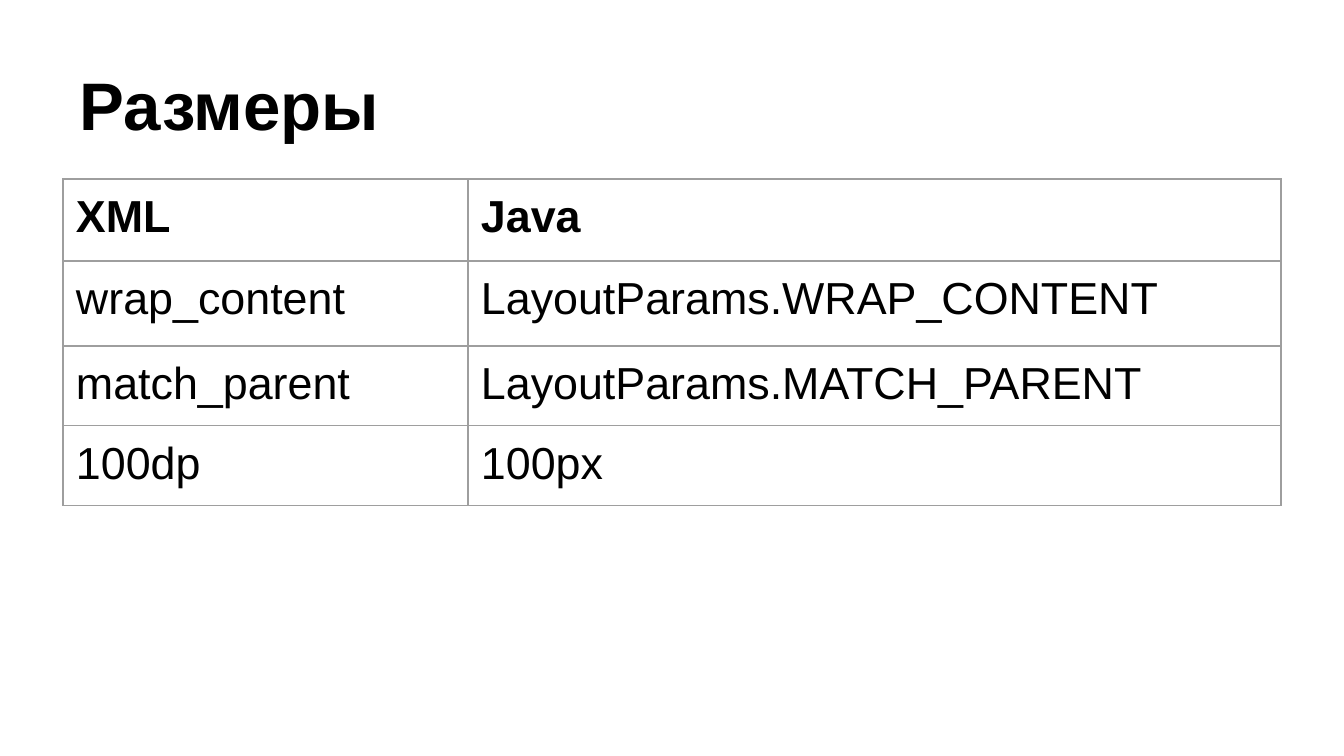
from lxml import etree
from pptx import Presentation
from pptx import util as u
from pptx.dml.color import RGBColor
from pptx.enum import text
from pptx.oxml import ns

SCALE = 914400 / 134.4
COLORS = {"ink": "000000", "rule": "9E9E9E", "page": "FFFFFF"}
ROWS = [
    ("XML", "Java"),
    ("wrap_content", "LayoutParams.WRAP_CONTENT"),
    ("match_parent", "LayoutParams.MATCH_PARENT"),
    ("100dp", "100px"),
]


def px(count):
    return u.Emu(round(count * SCALE))


def color(name):
    return RGBColor.from_string(COLORS[name])


def write(frame, words, size=24, bold=False, ink="ink", font="Arial"):
    run = frame.paragraphs[0].add_run()
    run.text = words
    run.font.name = font
    run.font.size = u.Pt(size)
    run.font.bold = bold
    run.font.color.rgb = color(ink)


class Deck:
    """Holds the style and the current slide, and adds elements to it."""

    def __init__(self, width, height, inset=13):
        self.file = Presentation()
        self.file.slide_width, self.file.slide_height = px(width), px(height)
        self.slide = self.file.slides.add_slide(self.file.slide_layouts[6])
        fill = self.slide.background.fill
        fill.solid()
        fill.fore_color.rgb = color("page")
        self.inset = px(inset)

    def pad(self, item):
        item.margin_left = item.margin_right = self.inset
        item.margin_top = item.margin_bottom = self.inset

    def title(self, words, *box):
        frame = self.slide.shapes.add_textbox(*map(px, box)).text_frame
        frame.word_wrap = True
        frame.vertical_anchor = text.MSO_ANCHOR.BOTTOM
        self.pad(frame)
        write(frame, words, size=36, bold=True)

    def border(self, cell):
        props = cell._tc.get_or_add_tcPr()
        for place, side in enumerate(("lnL", "lnR", "lnT", "lnB")):
            line = etree.Element(ns.qn(f"a:{side}"), w=str(u.Pt(0.75)))
            fill = etree.SubElement(line, ns.qn("a:solidFill"))
            etree.SubElement(fill, ns.qn("a:srgbClr"), val=COLORS["rule"])
            props.insert(place, line)

    def table(self, rows, left, top, widths, heights):
        box = map(px, (left, top, sum(widths), sum(heights)))
        grid = self.slide.shapes.add_table(len(rows), len(widths), *box).table
        grid.horz_banding = False
        for column, width in zip(grid.columns, widths):
            column.width = px(width)
        for index, (row, height) in enumerate(zip(grid.rows, heights)):
            row.height = px(height)
            for cell, words in zip(row.cells, rows[index]):
                self.pad(cell)
                cell.fill.background()
                self.border(cell)
                write(cell.text_frame, words, bold=index == 0)

    def save(self):
        self.file.save("out.pptx")


def main():
    deck = Deck(1344, 756)
    deck.title("Размеры", 67, 31, 1210, 126)
    deck.table(ROWS, 63, 179, (405, 813), (82, 85, 78, 76))
    deck.save()


if __name__ == "__main__":
    main()
